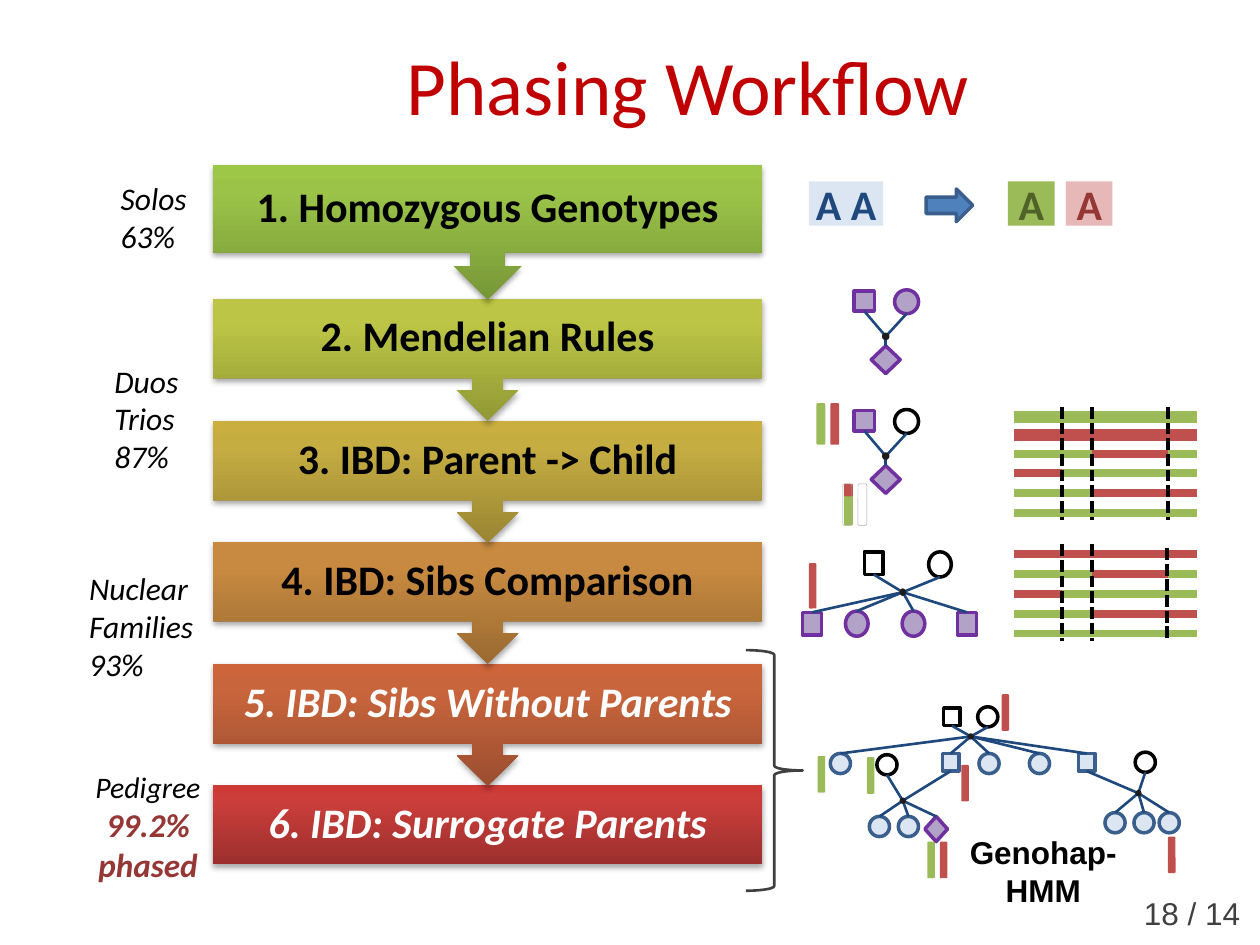
from copy import deepcopy
from lxml.etree import SubElement
from pptx import Presentation
from pptx.dml.color import RGBColor
from pptx.enum.dml import MSO_LINE as Dash
from pptx.enum.shapes import MSO_CONNECTOR as Connector, MSO_SHAPE as Shape
from pptx.enum.text import MSO_ANCHOR as Anchor, PP_ALIGN as Align
from pptx.oxml.ns import qn
from pptx.util import Inches, Pt

COLUMNS, ROWS = 100, 75
GREEN, RED, NAVY, BLACK, WHITE = "9BBB59", "C0504D", "1F497D", "000000", "FFFFFF"
CHILD = ("B3A2C7", "7030A0")
UNTYPED = (WHITE, BLACK)
RELATIVE = ("DCE6F2", "3A5F8C")
TOP, BOTTOM = 0, 2


def ink(code):
    return RGBColor.from_string(code)


class Page:
    def __init__(self, deck):
        self.cell_width = deck.slide_width / COLUMNS
        self.cell_height = deck.slide_height / ROWS
        self.slide = deck.slides.add_slide(deck.slide_layouts[5])

    def place(self, left, top, width, height):
        return (round(left * self.cell_width), round(top * self.cell_height),
                round(width * self.cell_width), round(height * self.cell_height))

    def set_text(self, holder, text, size, color, font="Calibri", bold=False,
                 italic=False, align=Align.LEFT):
        frame = holder.text_frame
        frame.text = text
        for para in frame.paragraphs:
            para.alignment = align
            for span in para.runs:
                span.font.size, span.font.name = Pt(size), font
                span.font.bold, span.font.italic = bold, italic
                span.font.color.rgb = ink(color)
        return frame

    def title(self, text, *area):
        holder = self.slide.shapes.title
        holder.left, holder.top, holder.width, holder.height = self.place(*area)
        frame = self.set_text(holder, text, 44, "C00000", align=Align.CENTER)
        frame.vertical_anchor = Anchor.MIDDLE

    def label(self, text, area, size=18, color=BLACK, wrap=True, **look):
        box = self.slide.shapes.add_textbox(*self.place(*area))
        frame = self.set_text(box, text, size, color, **look)
        frame.word_wrap = wrap
        return frame

    def shape(self, kind, area, fill=None, line=None, weight=2):
        item = self.slide.shapes.add_shape(kind, *self.place(*area))
        item.shadow.inherit = False
        if fill:
            item.fill.solid()
            item.fill.fore_color.rgb = ink(fill)
        else:
            item.fill.background()
        if line:
            item.line.color.rgb = ink(line)
            item.line.width = Pt(weight)
        else:
            item.line.fill.background()
        return item

    def step(self, kind, area, text, shades, color, italic):
        item = self.shape(kind, area)
        item.fill.gradient()
        item.fill.gradient_angle = 90
        properties = item._element.spPr
        stop_list = properties.find(".//" + qn("a:gsLst"))
        stop_list.append(deepcopy(stop_list[-1]))
        for stop, position, shade in zip(item.fill.gradient_stops, (0, 0.8, 1), shades):
            stop.position = position
            stop.color.rgb = ink(shade)
        shadow = SubElement(properties.find(qn("a:effectLst")), qn("a:outerShdw"),
                            blurRad="40000", dist="23000", dir="5400000", rotWithShape="0")
        tone = SubElement(shadow, qn("a:srgbClr"), val=BLACK)
        SubElement(tone, qn("a:alpha"), val="35000")
        frame = self.set_text(item, text, 24, color, bold=True, italic=italic,
                              align=Align.CENTER)
        frame.word_wrap = True
        frame.vertical_anchor = Anchor.MIDDLE
        frame.margin_left = frame.margin_right = Inches(0.19)
        frame.margin_top = frame.margin_bottom = Inches(0.19)
        frame.paragraphs[0].line_spacing = 0.9

    def allele(self, text, area, fill, color):
        item = self.shape(Shape.RECTANGLE, area, fill)
        frame = self.set_text(item, text, 24, color, bold=True, align=Align.CENTER)
        frame.word_wrap = False
        frame.vertical_anchor = Anchor.MIDDLE
        frame.margin_left = frame.margin_right = 0
        frame.margin_top = frame.margin_bottom = 0

    def line(self, start, end, color, weight, dash=None):
        begin_x, begin_y, end_x, end_y = self.place(*start, *end)
        item = self.slide.shapes.add_connector(Connector.STRAIGHT, begin_x, begin_y, end_x, end_y)
        item.line.color.rgb = ink(color)
        item.line.width = Pt(weight)
        if dash:
            item.line.dash_style = dash
        SubElement(item._element.spPr, qn("a:effectLst"))
        return item

    def haplotype(self, left, top, width, height, color):
        self.shape(Shape.ROUNDED_RECTANGLE, (left, top, width, height), color)

    def member(self, kind, area, look):
        return self.shape(kind, area, *look)

    def family(self, hub, parents, children):
        left, top, width, height = hub
        center = (left + width / 2, top + height / 2)
        for people, side in ((parents, BOTTOM), (children, TOP)):
            for person in people:
                x = (person.left + person.width / 2) / self.cell_width
                y = (person.top + person.height * side / 2) / self.cell_height
                link = self.line(center, (x, y), NAVY, 1.5)
                if person.auto_shape_type != Shape.OVAL:
                    link.end_connect(person, side)
        self.shape(Shape.OVAL, hub, "1C1C1C")

    def segments(self, rows, breaks):
        edges = (80.5, 84.3, 86.7, 92.7, 95)
        for y, weight, parts in rows:
            for color, first, last in parts:
                self.line((edges[first], y), (edges[last], y), color, weight)
        for x, top, bottom in breaks:
            self.line((x, top), (x, bottom), BLACK, 2.25, Dash.SQUARE_DOT)


def add_steps(page):
    steps = [
        ("1. Homozygous Genotypes", 13.1, 10.7, ("779737", "9BC348", "9DC746")),
        ("2. Mendelian Rules", 23.7, 9.7, ("919835", "BCC545", "BFC843")),
        ("3. IBD: Parent -> Child", 33.4, 9.7, ("998533", "C6AD42", "CAAF40")),
        ("4. IBD: Sibs Comparison", 43, 9.7, ("9A6A31", "C88A40", "CB8B3D")),
        ("5. IBD: Sibs Without Parents", 52.7, 9.7, ("9B4E2F", "C9653D", "CD643A")),
        ("6. IBD: Surrogate Parents", 62.3, 6.3, ("9C2F2D", "CB3E3A", "CE3B37")),
    ]
    for number, (text, top, height, shades) in reversed(list(enumerate(steps, 1))):
        late = number > 4
        kind = Shape.RECTANGLE if number == len(steps) else Shape.DOWN_ARROW_CALLOUT
        page.step(kind, (16.9, top, 43.6, height), text, shades, WHITE if late else BLACK, late)


def add_trios(page):
    for left, top, mate in ((67.8, 23.1, CHILD), (67.8, 32.6, UNTYPED)):
        father = page.member(Shape.RECTANGLE, (left, top, 1.6, 1.6), CHILD)
        mother = page.member(Shape.OVAL, (left + 3.2, top - 0.1, 1.9, 1.9), mate)
        child = page.member(Shape.DIAMOND, (left + 1.35, top + 4.35, 2.3, 2.2), CHILD)
        page.family((left + 2.2, top + 3.3, 0.6, 0.6), (father, mother), (child,))
    for left, top, height, color in ((65.9, 32, 3.3, RED), (64.8, 32, 3.3, GREEN),
                                     (67, 38.4, 3.3, GREEN), (67, 38.4, 1, RED)):
        page.haplotype(left, top, 0.7, height, color)
    for left in (68.1, 66.9):
        page.shape(Shape.ROUNDED_RECTANGLE, (left, 38.4, 0.7, 3.3), line="A6A6A6", weight=0.25)


def add_nuclear_family(page):
    father = page.member(Shape.RECTANGLE, (68.6, 43.8, 1.5, 1.8), UNTYPED)
    mother = page.member(Shape.OVAL, (73.7, 43.8, 1.8, 2), UNTYPED)
    sibs = [page.member(Shape.RECTANGLE, (left, 48.6, 1.5, 1.8), CHILD) for left in (63.7, 76)]
    sibs += [page.member(Shape.OVAL, (left, 48.5, 1.8, 2), CHILD) for left in (67.1, 71.6)]
    page.family((71.4, 46.7, 0.5, 0.6), (father, mother), sibs)
    page.haplotype(64.2, 44.7, 0.6, 3.6, RED)


def add_pedigree(page):
    def circle(left, top, look=RELATIVE):
        return page.member(Shape.OVAL, (left, top, 1.6, 1.6), look)

    def square(left, top, look=RELATIVE):
        return page.member(Shape.RECTANGLE, (left, top, 1.3, 1.4), look)

    founders = (square(74.9, 56.2, UNTYPED), circle(77.6, 56.1, UNTYPED))
    son, other_son = square(74.8, 59.8), square(85.6, 59.8)
    sibs = [circle(left, 59.8) for left in (65.9, 77.7, 81.7)] + [son, other_son]
    wife, other_wife = circle(69.6, 59.9, UNTYPED), circle(90.1, 59.7, UNTYPED)
    cousins = [circle(left, 64.5) for left in (87.7, 90, 92)]
    children = [circle(left, 64.8) for left in (69, 71.3)]
    children.append(page.member(Shape.DIAMOND, (73.4, 64.8, 1.8, 2), CHILD))
    page.family((76.8, 58.2, 0.5, 0.5), founders, sibs)
    page.family((71.4, 63.3, 0.5, 0.5), (wife, son), children)
    page.family((90.1, 62.7, 0.5, 0.5), (other_son, other_wife), cousins)
    for left, top, color in ((74.6, 66.8, RED), (73.6, 66.8, GREEN), (76.3, 60.7, RED),
                             (92.7, 66.4, RED), (79.5, 55.1, RED), (64.9, 60, GREEN),
                             (68.8, 60.1, GREEN)):
        page.haplotype(left, top, 0.6, 2.9, color)


def add_segments(page):
    all_green, all_red = [(GREEN, 0, 4)], [(RED, 0, 4)]
    mixed = [all_green + [(RED, 2, 3)], [(RED, 0, 1), (GREEN, 1, 4)], all_green + [(RED, 2, 4)]]
    tail = mixed + [all_green]
    parent = [(33.1, 7, all_green), (34.5, 7, all_red)]
    parent += [(36 + 1.57 * row, 4.5, parts) for row, parts in enumerate(tail)]
    sibs = [(44 + 1.57 * row, 4.5, parts) for row, parts in enumerate([all_red] + tail)]
    page.segments(parent, [(x, 32.3, 41.3) for x in (84.3, 86.7, 92.7)])
    page.segments(sibs, [(84.3, 43.2, 50.9), (86.7, 43.2, 50.9), (92.6, 43.5, 50.9)])


def add_labels(page):
    page.label("Genohap-HMM", (73.6, 65.6, 18.4, 7.1), font="Arial", bold=True,
               align=Align.CENTER)
    page.label("Solos\n63%", (8.6, 13.7, 9, 7.1), italic=True)
    page.label("Duos\nTrios\n87%", (8.1, 28.2, 7.7, 10.1), italic=True)
    page.label("Nuclear Families\n93%", (6.1, 44.7, 13.3, 10.1), italic=True)
    frame = page.label("Pedigree\n99.2% phased", (3.9, 60.5, 15.7, 10.4), 17, italic=True,
                       align=Align.CENTER)
    share = frame.paragraphs[1].runs[0].font
    share.size, share.bold = Pt(19), True
    share.color.rgb = ink("953735")
    page.label("18 / 14", (89.8, 70.5, 10, 4), color="404040", font="Arial", wrap=False)


def main():
    deck = Presentation()
    deck.slide_width, deck.slide_height = Inches(10), Inches(7.5)
    page = Page(deck)
    page.title("Phasing Workflow", 9.6, 0.5, 90, 12.5)
    add_steps(page)
    page.shape(Shape.RIGHT_ARROW, (73.5, 15, 3.7, 2.6), "4F81BD", "3A5F8C")
    page.allele("A A", (64.2, 14.4, 5.9, 3.5), "DCE6F2", NAVY)
    page.allele("A", (80, 14.4, 3.7, 3.5), GREEN, "4F6228")
    page.allele("A", (84.6, 14.4, 3.7, 3.5), "E6B9B8", "953735")
    add_trios(page)
    add_segments(page)
    add_nuclear_family(page)
    add_pedigree(page)
    page.shape(Shape.RIGHT_BRACE, (59.2, 51.6, 4.5, 19.1), line="404040", weight=1.5)
    add_labels(page)
    deck.save("out.pptx")


if __name__ == "__main__":
    main()
